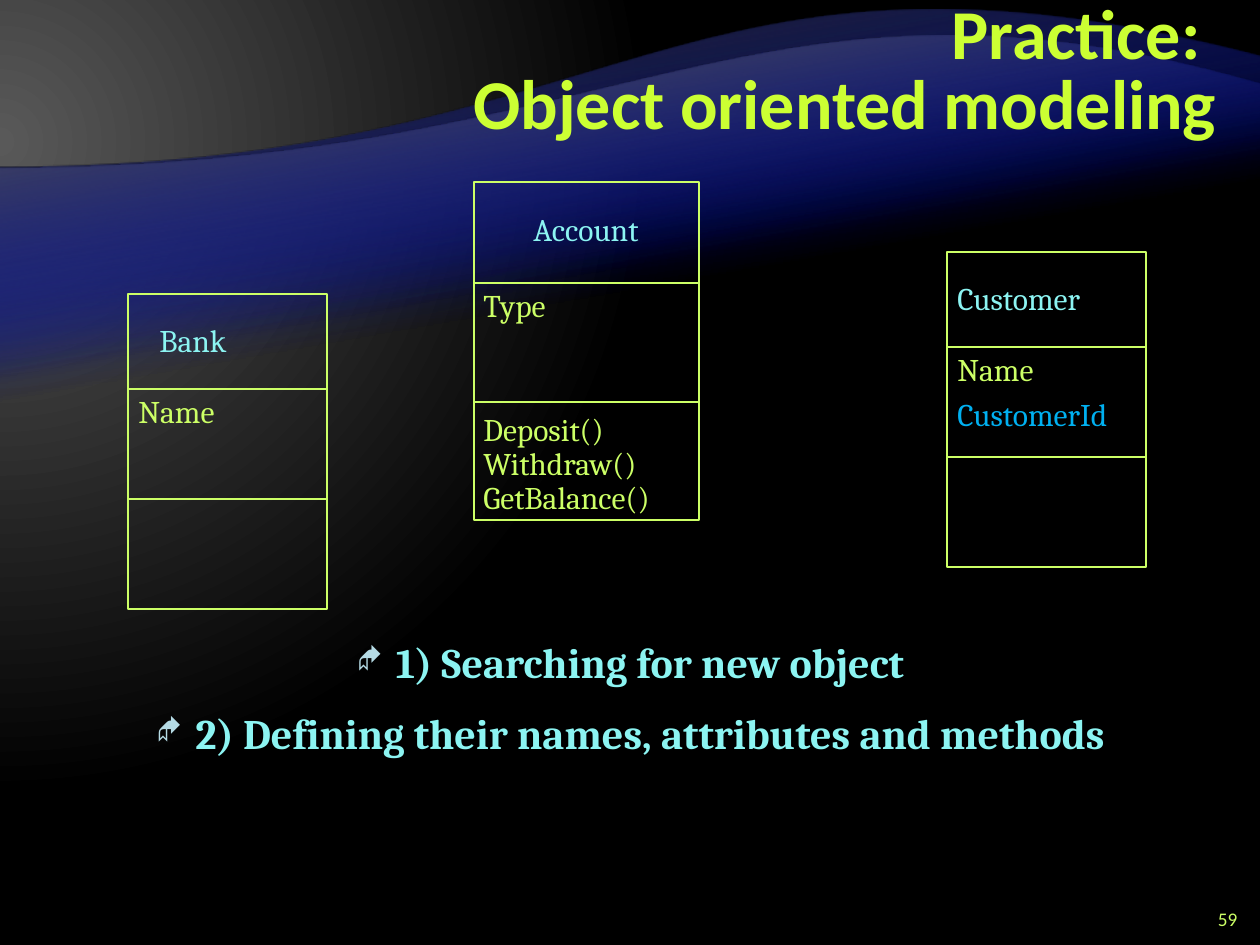
"""Build the object oriented modeling practice slide with three class diagrams."""
import pptx
import pptx.dml.color
import pptx.enum.shapes
import pptx.enum.text
import pptx.oxml
import pptx.oxml.ns
import pptx.util
from lxml import etree

PX = 7257
LIME, AQUA, BLUE = "CCFF66", "8CF4F2", "00B0F0"
rgb = pptx.dml.color.RGBColor.from_string
qn = pptx.oxml.ns.qn
ALIGN = pptx.enum.text.PP_ALIGN


def add_run(p, text, size, color, font="Cambria", bold=False):
    r = p.add_run()
    r.text = text
    r.font.size = pptx.util.Pt(size)
    r.font.name = font
    r.font.bold = bold
    r.font.color.rgb = rgb(color)


def set_gradient(fill, parent, stops, direction):
    fill.gradient()
    old = parent.find(".//" + qn("a:gradFill"))
    gs = "".join(
        f'<a:gs pos="{pos}000"><a:srgbClr val="{color}"><a:alpha val="{alpha}000"/></a:srgbClr></a:gs>'
        for pos, color, alpha in stops)
    old.getparent().replace(old, pptx.oxml.parse_xml(
        f'<a:gradFill {pptx.oxml.ns.nsdecls("a")} rotWithShape="1"><a:gsLst>{gs}</a:gsLst>{direction}</a:gradFill>'))


prs = pptx.Presentation()
prs.slide_width = pptx.util.Inches(10)
prs.slide_height = pptx.util.Inches(7.5)
s = prs.slides.add_slide(prs.slide_layouts[5])

set_gradient(s.background.fill, s._element, [(0, "595959", 100), (83, "000000", 100)],
             '<a:path path="circle"><a:fillToRect l="20000" t="30000" r="135000" b="100000"/></a:path>')

waves = [
    ([(630, 168), (673, -94), (1260, 57)], 823, "262626"),
    ([(630, 168), (753, -62), (1260, 84)], 702, "595959"),
]
for i, (curve, bottom, color) in enumerate(waves * 2):
    top = curve[-1][1]
    fb = s.shapes.build_freeform(0, top, scale=PX)
    fb.add_line_segments([(1260, top), (1260, top + bottom - 168), (0, bottom)], close=True)
    sp = fb.convert_to_shape()
    sp.rotation = 180
    sp.shadow.inherit = False
    sp.line.fill.background()
    set_gradient(sp.fill, sp._element, [(65, "000D9E", 0), (100, color, 100)],
                 '<a:lin ang="4800000" scaled="0"/>')
    edge = sp._element.findall(".//" + qn("a:lnTo"))[2]
    bezier = etree.Element(qn("a:cubicBezTo"))
    for x, y in curve:
        etree.SubElement(bezier, qn("a:pt"), x=str(1260 - x), y=str(bottom - y))
    edge.getparent().replace(edge, bezier)
    prs.slide_master.shapes._spTree.insert(2 + i, sp._element)

title = s.shapes.title
title.left, title.top, title.width, title.height = 252 * PX, 10 * PX, 977 * PX, 126 * PX
tf = title.text_frame
tf.word_wrap = True
tf.auto_size = pptx.enum.text.MSO_AUTO_SIZE.NONE
tf.vertical_anchor = pptx.enum.text.MSO_ANCHOR.MIDDLE
p = tf.paragraphs[0]
p.alignment = ALIGN.RIGHT
p.line_spacing = pptx.util.Pt(40)
add_run(p, "Practice: ", 40, "CCFF33", "Calibri", True)
p.add_line_break()
add_run(p, "Object oriented modeling", 40, "CCFF33", "Calibri", True)

tf = s.shapes.add_textbox(32 * PX, 630 * PX, 1197 * PX, 294 * PX).text_frame
tf.word_wrap = True
for i, text in enumerate(["1) Searching for new object",
                          "2) Defining their names, attributes and methods"]):
    p = tf.add_paragraph() if i else tf.paragraphs[0]
    pPr = p._p.get_or_add_pPr()
    pPr.set("marL", str(39 * PX))
    pPr.set("indent", str(-39 * PX))
    bullet_color = etree.SubElement(pPr, qn("a:buClr"))
    etree.SubElement(bullet_color, qn("a:srgbClr"), val="B5DBE5")
    etree.SubElement(pPr, qn("a:buSzPct"), val="70000")
    etree.SubElement(pPr, qn("a:buFont"), typeface="Wingdings")
    etree.SubElement(pPr, qn("a:buChar"), char="◆")
    p.alignment = ALIGN.CENTER
    p.space_before = pptx.util.Pt(6 if i else 0)
    p.space_after = pptx.util.Pt(6)
    add_run(p, text, 24, AQUA, bold=True)

tf = s.shapes.add_textbox(1187 * PX, 903 * PX, 63 * PX, 32 * PX).text_frame
tf.word_wrap = True
tf.vertical_anchor = pptx.enum.text.MSO_ANCHOR.MIDDLE
tf.paragraphs[0].alignment = ALIGN.RIGHT
add_run(tf.paragraphs[0], "59", 11, LIME, "Calibri")

classes = [
    ((947, 252, 199, 315), (95, 205),
     [("Customer", 945, 273, 165, AQUA), ("Name", 945, 344, 111, LIME),
      ("CustomerId", 945, 389, 190, BLUE)]),
    ((128, 294, 199, 315), (95, 205),
     [("Bank", 147, 315, 101, AQUA), ("Name", 126, 386, 111, LIME)]),
    ((474, 182, 225, 338), (101, 220),
     [("Account", 521, 204, 140, AQUA), ("Type", 471, 280, 100, LIME),
      ("Deposit()", 471, 404, 161, LIME), ("Withdraw()", 471, 438, 188, LIME),
      ("GetBalance()", 471, 472, 219, LIME)]),
]
for (x, y, w, h), dividers, labels in classes:
    group = s.shapes.add_group_shape().shapes
    sp = group.add_shape(pptx.enum.shapes.MSO_SHAPE.RECTANGLE, x * PX, y * PX, w * PX, h * PX)
    sp.shadow.inherit = False
    sp.fill.background()
    sp.line.color.rgb = rgb(LIME)
    sp.line.width = pptx.util.Pt(1)
    for dy in dividers:
        line = group.add_connector(pptx.enum.shapes.MSO_CONNECTOR.STRAIGHT,
                                   x * PX, (y + dy) * PX, (x + w) * PX, (y + dy) * PX)
        line.line.color.rgb = rgb(LIME)
        line.line.width = pptx.util.Pt(1)
        etree.SubElement(line._element.spPr, qn("a:effectLst"))
    for text, left, top, width, color in labels:
        shapes = s.shapes if color == BLUE else group
        tf = shapes.add_textbox(left * PX, top * PX, width * PX, 50 * PX).text_frame
        tf.word_wrap = False
        tf.auto_size = pptx.enum.text.MSO_AUTO_SIZE.SHAPE_TO_FIT_TEXT
        add_run(tf.paragraphs[0], text, 18, color)

prs.save("out.pptx")
